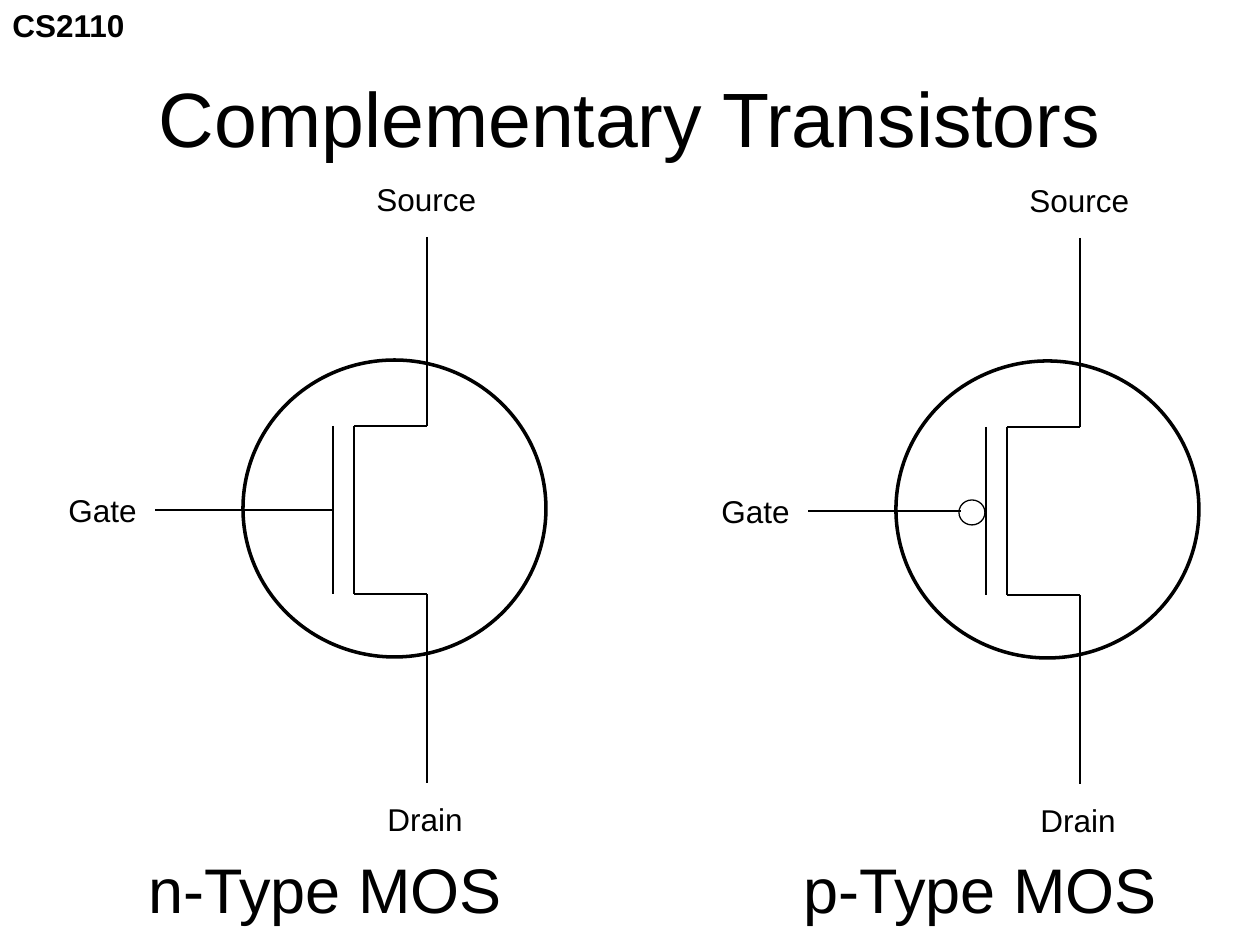
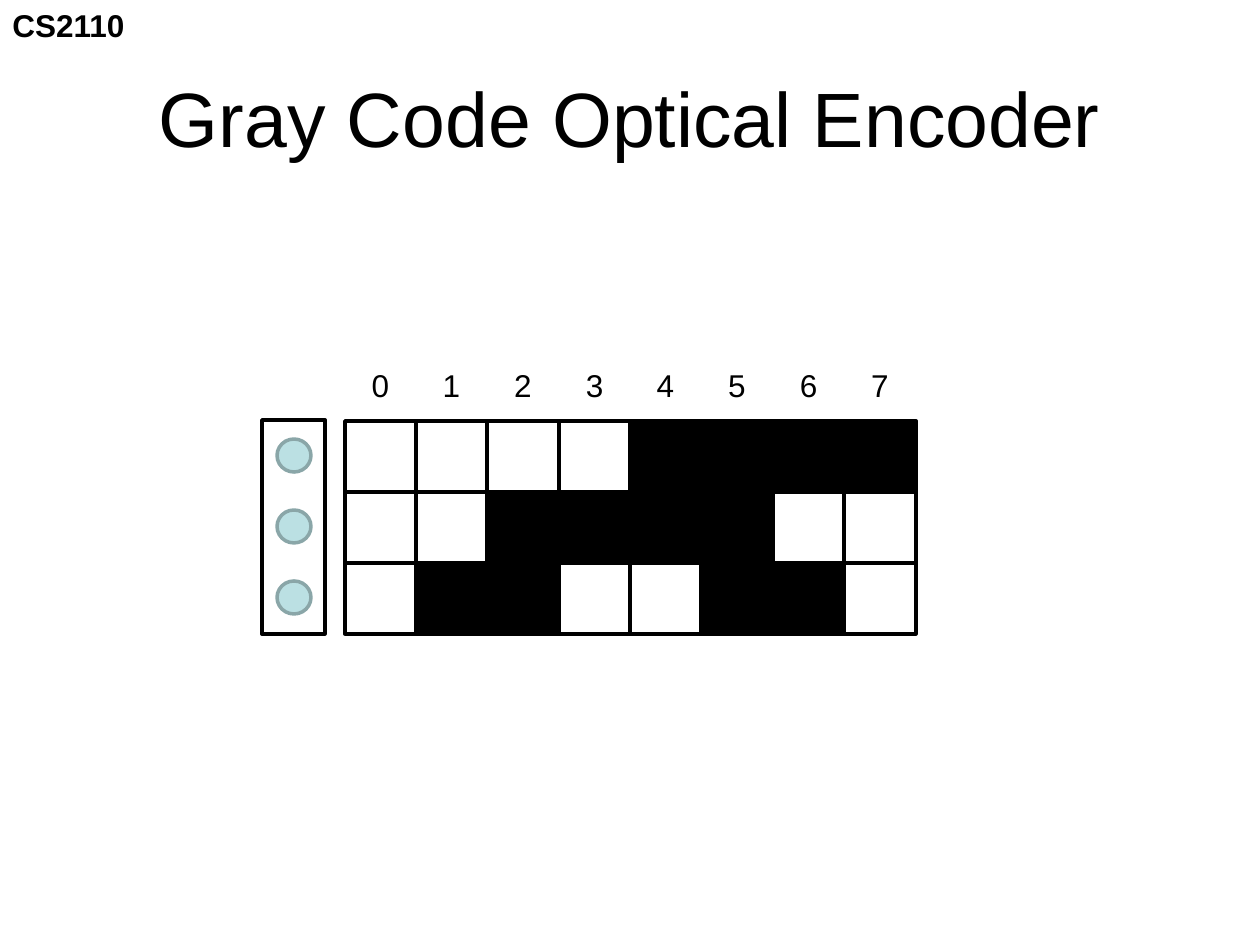
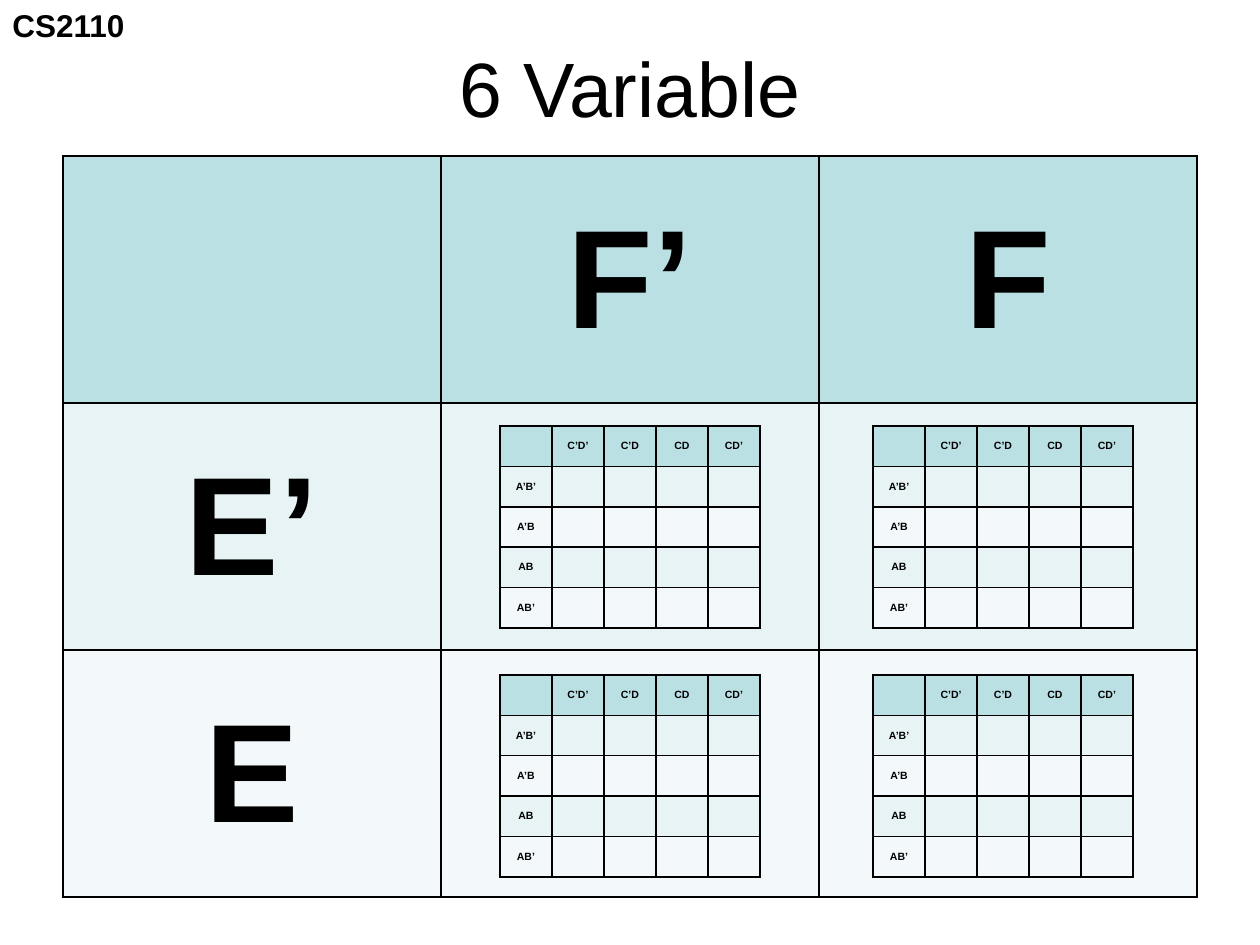
import dataclasses
import typing

import lxml.etree
import pptx
import pptx.dml.color
import pptx.enum.shapes
import pptx.enum.text
import pptx.oxml.ns
import pptx.slide
import pptx.util

# Shared scale, colours and type
EMU_PER_PX = 914400 / 126
FONT = "Arial"
BLACK = pptx.dml.color.RGBColor(0x00, 0x00, 0x00)
TEAL = pptx.dml.color.RGBColor(0xBB, 0xE0, 0xE3)
TEAL_EDGE = pptx.dml.color.RGBColor(0x8A, 0xA6, 0xA8)
BAND_DARK = pptx.dml.color.RGBColor(0xE7, 0xF3, 0xF4)
BAND_LIGHT = pptx.dml.color.RGBColor(0xF3, 0xF9, 0xFA)

ALIGN = pptx.enum.text.PP_ALIGN
ANCHOR = pptx.enum.text.MSO_ANCHOR
AUTO_SIZE = pptx.enum.text.MSO_AUTO_SIZE
SHAPE = pptx.enum.shapes.MSO_SHAPE
Slide = pptx.slide.Slide
Color = typing.Optional[pptx.dml.color.RGBColor]


@dataclasses.dataclass(frozen=True)
class Box:
    left: int
    top: int
    width: int
    height: int

    def moved(self, dx: int, dy: int) -> "Box":
        return dataclasses.replace(self, left=self.left + dx, top=self.top + dy)

    def emu(self) -> tuple:
        return px(self.left), px(self.top), px(self.width), px(self.height)


@dataclasses.dataclass(frozen=True)
class Transistor:
    name: str
    name_box: Box
    dx: int
    dy: int
    gate_end: int
    inverted: bool


@dataclasses.dataclass(frozen=True)
class Grid:
    box: Box
    column_heads: tuple
    row_heads: tuple
    size: int


def px(length: int) -> int:
    return round(length * EMU_PER_PX)


# Drawing helpers
def write_text(frame, text: str, *, size: int, bold: bool = False, align=ALIGN.LEFT) -> None:
    paragraph = frame.paragraphs[0]
    paragraph.alignment = align
    if not text:
        # An empty cell still needs its size, or its row grows
        lxml.etree.SubElement(
            paragraph._p, pptx.oxml.ns.qn("a:endParaRPr"), sz=str(size * 100))
        return
    run = paragraph.add_run()
    run.text = text
    run.font.name = FONT
    run.font.size = pptx.util.Pt(size)
    run.font.bold = bold
    run.font.color.rgb = BLACK


def add_label(slide: Slide, box: Box, text: str, *, size: int = 18,
              bold: bool = False, centred: bool = False) -> None:
    frame = slide.shapes.add_textbox(*box.emu()).text_frame
    frame.word_wrap = centred
    frame.auto_size = AUTO_SIZE.NONE if centred else AUTO_SIZE.SHAPE_TO_FIT_TEXT
    frame.vertical_anchor = ANCHOR.MIDDLE if centred else ANCHOR.TOP
    write_text(frame, text, size=size, bold=bold,
               align=ALIGN.CENTER if centred else ALIGN.LEFT)


def add_outline(slide: Slide, kind, box: Box, *, fill: Color = None,
                line: Color = BLACK, weight: float = 2) -> None:
    shape = slide.shapes.add_shape(kind, *box.emu())
    shape.shadow.inherit = False
    if fill is None:
        shape.fill.background()
    else:
        shape.fill.solid()
        shape.fill.fore_color.rgb = fill
    shape.line.color.rgb = line
    shape.line.width = pptx.util.Pt(weight)


def add_wire(slide: Slide, x1: int, y1: int, x2: int, y2: int) -> None:
    wire = slide.shapes.add_connector(
        pptx.enum.shapes.MSO_CONNECTOR.STRAIGHT, px(x1), px(y1), px(x2), px(y2))
    wire.line.color.rgb = BLACK
    wire.line.width = pptx.util.Pt(0.75)
    lxml.etree.SubElement(wire._element.spPr, pptx.oxml.ns.qn("a:effectLst"))


def add_borders(cell) -> None:
    properties = cell._tc.get_or_add_tcPr()
    for side in ("a:lnL", "a:lnR", "a:lnT", "a:lnB"):
        line = lxml.etree.SubElement(properties, pptx.oxml.ns.qn(side), w="12700")
        fill = lxml.etree.SubElement(line, pptx.oxml.ns.qn("a:solidFill"))
        lxml.etree.SubElement(fill, pptx.oxml.ns.qn("a:srgbClr"), val=str(BLACK))


def add_grid(slide: Slide, grid: Grid) -> None:
    rows, columns = len(grid.row_heads) + 1, len(grid.column_heads) + 1
    table = slide.shapes.add_table(rows, columns, *grid.box.emu()).table
    table.first_row = table.horz_banding = False
    for column in table.columns:
        column.width = px(grid.box.width) // columns
    for row in table.rows:
        row.height = px(grid.box.height) // rows
    for r in range(rows):
        for c in range(columns):
            cell = table.cell(r, c)
            text = ""
            if r == 0 and c > 0:
                text = grid.column_heads[c - 1]
            elif c == 0 and r > 0:
                text = grid.row_heads[r - 1]
            write_text(cell.text_frame, text, size=grid.size, bold=True, align=ALIGN.CENTER)
            cell.vertical_anchor = ANCHOR.MIDDLE
            add_borders(cell)
            cell.fill.solid()
            cell.fill.fore_color.rgb = (
                TEAL if r == 0 else BAND_DARK if r % 2 else BAND_LIGHT)


def add_titled_slide(presentation, text: str, title_height: int = 157) -> Slide:
    slide = presentation.slides.add_slide(presentation.slide_layouts[5])
    title = slide.shapes.title
    title.left, title.top, title.width, title.height = Box(63, 38, 1134, title_height).emu()
    title.text_frame.auto_size = AUTO_SIZE.NONE
    title.text_frame.vertical_anchor = ANCHOR.MIDDLE
    write_text(title.text_frame, text, size=44, align=ALIGN.CENTER)
    add_label(slide, Box(0, 0, 139, 50), "CS2110", bold=True)
    return slide


# Slide 1: transistor symbols, laid out for the n-type and shifted for the p-type
WIRES = (
    (333, 426, 333, 594),  # gate plate
    (354, 426, 354, 594),  # channel
    (354, 426, 427, 426),
    (354, 594, 427, 594),
    (427, 594, 427, 783),  # drain
    (427, 237, 427, 426),  # source
)
TERMINALS = (
    ("Gate", Box(56, 485, 95, 50)),
    ("Source", Box(364, 174, 126, 50)),
    ("Drain", Box(375, 794, 101, 50)),
)
TRANSISTORS = (
    Transistor("n-Type MOS", Box(136, 844, 394, 88), 0, 0, 333, False),
    Transistor("p-Type MOS", Box(791, 844, 391, 88), 653, 1, 308, True),
)


def draw_transistor(slide: Slide, transistor: Transistor) -> None:
    dx, dy = transistor.dx, transistor.dy
    for x1, y1, x2, y2 in WIRES + ((transistor.gate_end, 510, 155, 510),):
        add_wire(slide, x1 + dx, y1 + dy, x2 + dx, y2 + dy)
    for name, box in TERMINALS:
        add_label(slide, box.moved(dx, dy), name)
    if transistor.inverted:
        add_outline(slide, SHAPE.OVAL, Box(306, 499, 26, 25).moved(dx, dy), weight=0.75)
    add_outline(slide, SHAPE.OVAL, Box(243, 360, 303, 297).moved(dx, dy))
    add_label(slide, transistor.name_box, transistor.name, size=36)


def build_transistors(presentation) -> None:
    slide = add_titled_slide(presentation, "Complementary Transistors")
    for transistor in TRANSISTORS:
        draw_transistor(slide, transistor)


# Slide 2: Gray code strip with its sensors
def build_encoder(presentation) -> None:
    slide = add_titled_slide(presentation, "Gray Code Optical Encoder")
    bits, pitch, strip_top = 3, 71, 421
    positions = 2 ** bits
    edges = [345 + 571 * n // positions for n in range(positions + 1)]
    for number in range(positions):
        left, width = edges[number], edges[number + 1] - edges[number]
        gray = number ^ (number >> 1)
        for row in range(bits):
            dark = gray >> (bits - 1 - row) & 1
            add_outline(slide, SHAPE.RECTANGLE,
                        Box(left, strip_top + row * pitch, width, pitch),
                        fill=BLACK if dark else None)
        add_label(slide, Box(left, strip_top - pitch - 1, width, pitch),
                  str(number), centred=True)
    for row in range(bits):
        add_outline(slide, SHAPE.OVAL, Box(277, 439 + row * pitch, 34, 33),
                    fill=TEAL, line=TEAL_EDGE)
    add_outline(slide, SHAPE.RECTANGLE, Box(262, 420, 63, 214))


# Slide 3: four Karnaugh maps inside a larger one
def build_six_variable(presentation) -> None:
    slide = add_titled_slide(presentation, "6 Variable", title_height=98)
    add_grid(slide, Grid(Box(63, 156, 1134, 741), ("F’", "F"), ("E’", "E"), 80))
    for left in (500, 873):
        for top in (426, 675):
            add_grid(slide, Grid(Box(left, top, 260, 202),
                                 ("C’D’", "C’D", "CD", "CD’"),
                                 ("A’B’", "A’B", "AB", "AB’"), 6))


def main() -> None:
    presentation = pptx.Presentation()
    presentation.slide_width = px(1260)
    presentation.slide_height = px(945)
    build_transistors(presentation)
    build_encoder(presentation)
    build_six_variable(presentation)
    presentation.save("out.pptx")


if __name__ == "__main__":
    main()
